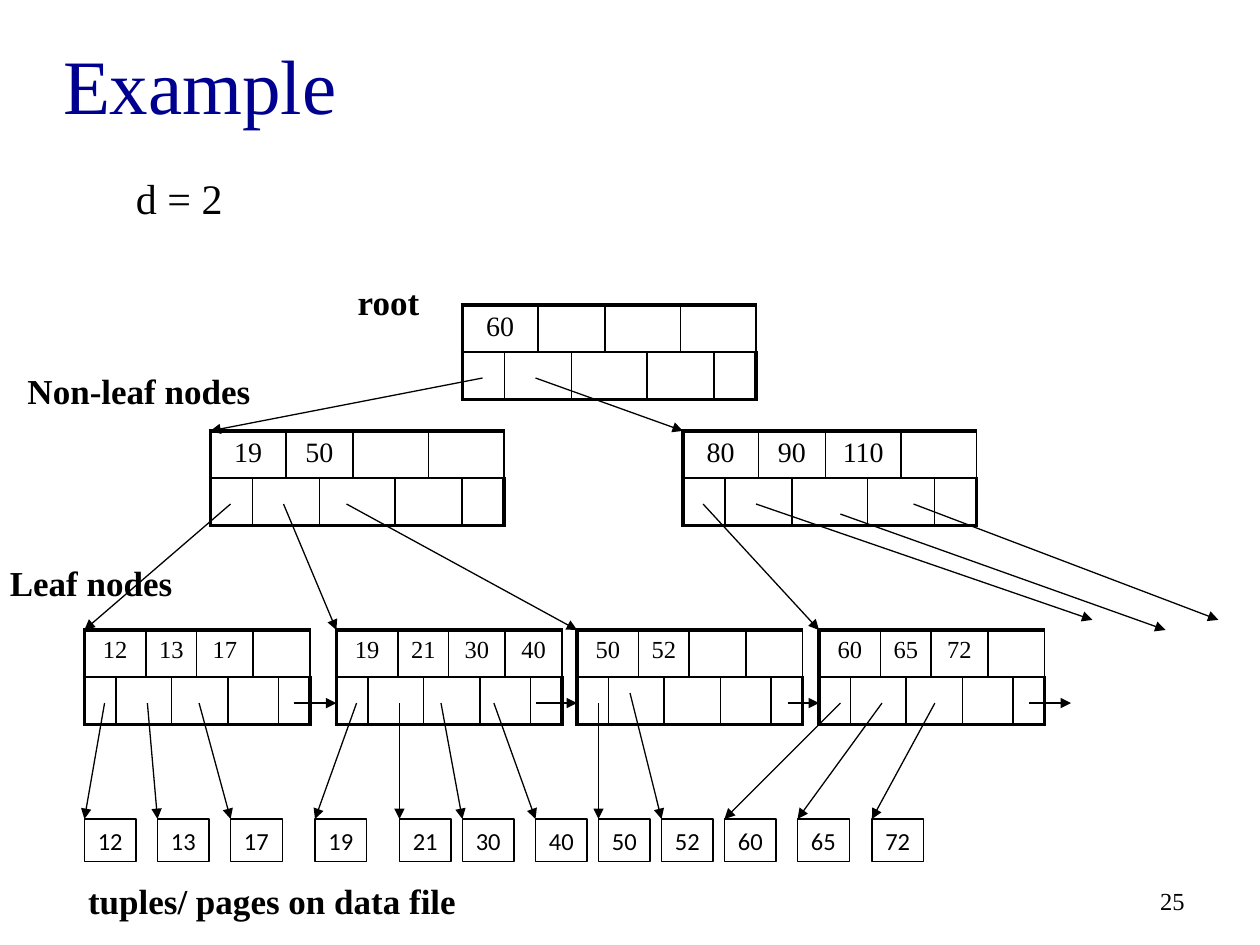
from lxml.etree import SubElement as Sub
from pptx import Presentation
from pptx.dml.color import RGBColor as Rgb
from pptx.enum.shapes import MSO_CONNECTOR as Line, MSO_SHAPE as Shape
from pptx.enum.text import MSO_ANCHOR as Anchor, MSO_AUTO_SIZE as Fit, PP_ALIGN as Align
from pptx.oxml.ns import qn
from pptx.util import Inches, Pt

INK = {"black": "000000", "navy": "000090"}
SERIF, SANS = "Times New Roman", "Calibri"

# Index nodes: left, top, keys
INNER = [
    (3.67, 2.42, ["60"]),
    (1.67, 3.42, ["19", "50"]),
    (5.42, 3.42, ["80", "90", "110"]),
]
LEAVES = [
    (0.67, 5, ["12", "13", "17"]),
    (2.67, 5, ["19", "21", "30", "40"]),
    (4.58, 5, ["50", "52"]),
    (6.5, 5, ["60", "65", "72"]),
]
# Tree pointers: from x, y to x, y
LINKS = [
    (3.83, 3, 1.67, 3.42), (4.25, 3, 5.42, 3.42),
    (1.83, 4, 0.67, 5), (2.25, 4, 2.67, 5), (2.75, 4, 4.58, 5),
    (5.58, 4, 6.5, 5), (6, 4, 8.67, 4.92),
    (6.67, 4.08, 9.25, 5), (7.25, 4, 9.67, 4.92),
]
# Sibling pointers between leaves: from x, to x
CHAIN = [(2.33, 2.67), (4.25, 4.58), (6.25, 6.5), (8.17, 8.5)]
# Data tuples: key, box left, pointer x, pointer y
SLOT = 5.58
TUPLES = [
    ("12", 0.67, 0.83, SLOT), ("13", 1.25, 1.17, SLOT), ("17", 1.83, 1.58, SLOT),
    ("19", 2.5, 2.83, SLOT), ("21", 3.17, 3.17, SLOT), ("30", 3.67, 3.5, SLOT),
    ("40", 4.25, 3.92, SLOT), ("50", 4.75, 4.75, SLOT), ("52", 5.25, 5, 5.5),
    ("60", 5.75, 6.67, SLOT), ("65", 6.33, 7, SLOT), ("72", 6.92, 7.42, SLOT),
]
# Labels: text, left, top, width, height, format, wrap
HEAD = {"size": Pt(20), "bold": True}
LABELS = [
    ("d = 2", 0.98, 1.32, 0.89, 0.5, {"size": Pt(24)}, False),
    ("Non-leaf nodes", 0.12, 2.88, 2.66, 0.44, HEAD, True),
    ("Leaf nodes", -0.02, 4.41, 2.66, 0.44, HEAD, True),
    ("root", 2.74, 2.18, 0.94, 0.44, HEAD, True),
    ("tuples/ pages on data file", 0.6, 6.93, 3.65, 0.44, HEAD, True),
]
# Narrow and wide columns; keys and pointers span them in staggered pairs
SHARES = [5, 4, 4, 4, 5, 4, 4, 5]
SPANS = [
    [(0, 1), (2, 3), (4, 5), (6, 7)],
    [(0, 0), (1, 2), (3, 4), (5, 6), (7, 7)],
]
THIN, THICK = 1, 2.25
TUPLE_TOP = 6.5


def write(frame, text, form, align=Align.LEFT, ink="black"):
    par = frame.paragraphs[0]
    par.alignment = align
    run = par.add_run()
    run.text = text
    for name, value in {"name": SERIF, **form}.items():
        setattr(run.font, name, value)
    run.font.color.rgb = Rgb.from_string(INK[ink])
    return par


def edge(cell, row, col):
    """Draw the cell's borders, thick along the outside of the node."""
    props = cell._tc.get_or_add_tcPr()
    outer = {"L": col == 0, "R": col == len(SHARES) - 1, "T": row == 0, "B": row == 1}
    for side, out in outer.items():
        line = Sub(props, qn("a:ln" + side), w=str(Pt(THICK if out else THIN)))
        fill = Sub(line, qn("a:solidFill"))
        Sub(fill, qn("a:srgbClr"), val=INK["black"])


def add_node(shapes, left, top, width, keys, size):
    frame = shapes.add_table(2, len(SHARES), Inches(left), Inches(top),
                             Inches(width), Inches(0.75))
    table = frame.table
    table.first_row = table.horz_banding = False
    for col, share in zip(table.columns, SHARES):
        col.width = Inches(width * share / sum(SHARES))
    for r, spans in enumerate(SPANS):
        for c in range(len(SHARES)):
            cell = table.cell(r, c)
            cell.margin_top = cell.margin_bottom = 0
            edge(cell, r, c)
            cell.fill.background()
        for first, last in spans:
            if last > first:
                table.cell(r, first).merge(table.cell(r, last))
    for key, (first, _) in zip(keys, SPANS[0]):
        cell = table.cell(0, first)
        cell.margin_top = Inches(0.05)
        par = write(cell.text_frame, key, {"size": Pt(size)}, Align.CENTER)
        par.space_before = Pt(size * 0.2)


def add_arrow(shapes, *ends):
    line = shapes.add_connector(Line.STRAIGHT, *map(Inches, ends))
    line.line.color.rgb = Rgb.from_string(INK["black"])
    line.line.width = Pt(0.75)
    props = line._element.spPr
    Sub(props.find(qn("a:ln")), qn("a:tailEnd"), type="triangle")
    Sub(props, qn("a:effectLst"))


def add_tuple(shapes, key, left):
    box = shapes.add_shape(Shape.RECTANGLE, Inches(left), Inches(TUPLE_TOP),
                           Inches(0.41), Inches(0.34))
    box.shadow.inherit = False
    box.fill.background()
    box.line.color.rgb = Rgb.from_string(INK["black"])
    box.line.width = Pt(0.75)
    frame = box.text_frame
    frame.word_wrap = False
    frame.auto_size = Fit.SHAPE_TO_FIT_TEXT
    frame.vertical_anchor = Anchor.MIDDLE
    write(frame, key, {"name": SANS, "size": Pt(14)}, Align.CENTER)


def add_label(shapes, text, left, top, width, height, form, wrap):
    frame = shapes.add_textbox(*map(Inches, (left, top, width, height))).text_frame
    frame.word_wrap = wrap
    frame.auto_size = Fit.SHAPE_TO_FIT_TEXT
    write(frame, text, form)


def main():
    deck = Presentation()
    deck.slide_width, deck.slide_height = Inches(10), Inches(7.5)
    shapes = deck.slides.add_slide(deck.slide_layouts[5]).shapes

    title = shapes.title
    place = {"left": 0.4, "top": 0.11, "width": 9, "height": 1.11}
    for name, value in place.items():
        setattr(title, name, Inches(value))
    title.text_frame.vertical_anchor = Anchor.MIDDLE
    write(title.text_frame, "Example", {"size": Pt(44)}, ink="navy")

    page = shapes.add_textbox(*map(Inches, (7.17, 6.95, 2.33, 0.4))).text_frame
    page.word_wrap = True
    page.vertical_anchor = Anchor.MIDDLE
    write(page, "25", {"size": Pt(14)}, Align.RIGHT)

    for nodes, width, size in ((INNER, 2.33, 16), (LEAVES, 1.75, 14)):
        for left, top, keys in nodes:
            add_node(shapes, left, top, width, keys, size)
    for link in LINKS:
        add_arrow(shapes, *link)
    for start, end in CHAIN:
        add_arrow(shapes, start, SLOT, end, SLOT)
    for key, left, x, y in TUPLES:
        add_tuple(shapes, key, left)
        add_arrow(shapes, x, y, left, TUPLE_TOP)
    for label in LABELS:
        add_label(shapes, *label)

    deck.save("out.pptx")


if __name__ == "__main__":
    main()
